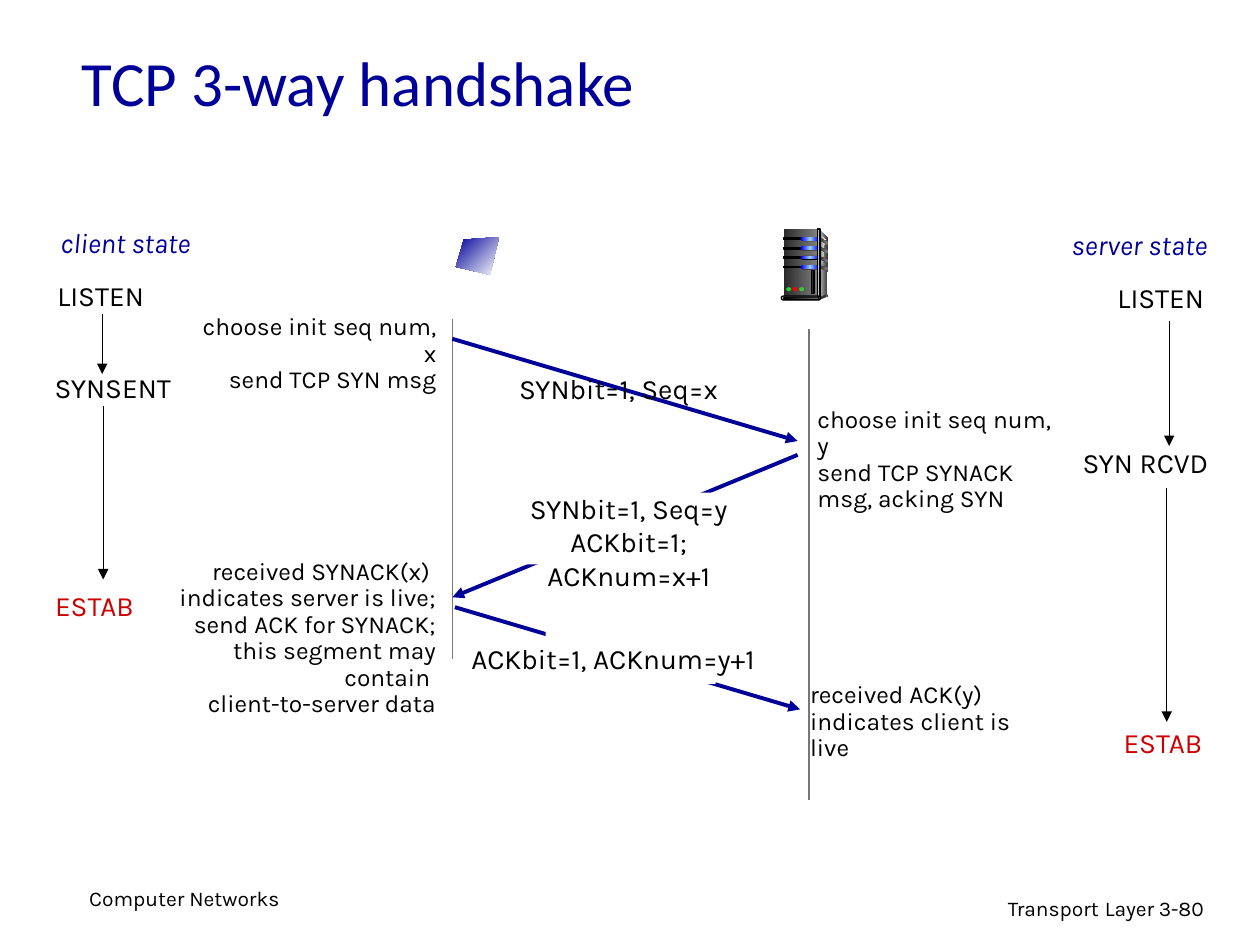
from lxml import etree
from pptx import Presentation
from pptx.dml.color import RGBColor
from pptx.enum.shapes import MSO_CONNECTOR, MSO_SHAPE
from pptx.enum.text import MSO_ANCHOR, PP_ALIGN
from pptx.oxml.ns import qn
from pptx.util import Cm, Pt

LEFT, CENTER, RIGHT = PP_ALIGN.LEFT, PP_ALIGN.CENTER, PP_ALIGN.RIGHT
TOP, MIDDLE = MSO_ANCHOR.TOP, MSO_ANCHOR.MIDDLE
RECT, PILL, OVAL = MSO_SHAPE.RECTANGLE, MSO_SHAPE.ROUNDED_RECTANGLE, MSO_SHAPE.OVAL
STRAIGHT = MSO_CONNECTOR.STRAIGHT

NAVY = RGBColor(0x00, 0x00, 0x99)
BLACK = RGBColor(0x00, 0x00, 0x00)
WHITE = RGBColor(0xFF, 0xFF, 0xFF)
RED = RGBColor(0xCC, 0x00, 0x00)
LINE_GRAY = RGBColor(0x77, 0x77, 0x77)
COAL = RGBColor(0x29, 0x29, 0x29)
DARK = RGBColor(0x33, 0x33, 0x33)
MID = RGBColor(0x80, 0x80, 0x80)
LIGHT = RGBColor(0xDD, 0xDD, 0xDD)
PALE = RGBColor(0xF8, 0xF8, 0xF8)
BLUE = RGBColor(0x00, 0x00, 0xFF)
SKY = RGBColor(0x99, 0xCC, 0xFF)
LED_GREEN = RGBColor(0x33, 0xCC, 0x33)
LED_RED = RGBColor(0xFF, 0x00, 0x00)


class Deck:
    font = "Karla"

    def __init__(self, width, height):
        self.prs = Presentation()
        self.prs.slide_width, self.prs.slide_height = Cm(width), Cm(height)
        self.slide = self.prs.slides.add_slide(self.prs.slide_layouts[6])

    def text(self, box, lines, size=16, color=BLACK, align=LEFT, wrap=True,
             spacing=None, italic=False, font=None, anchor=TOP):
        tf = self.slide.shapes.add_textbox(*map(Cm, box)).text_frame
        tf.word_wrap = wrap
        tf.vertical_anchor = anchor
        for i, line in enumerate(lines):
            p = tf.add_paragraph() if i else tf.paragraphs[0]
            p.alignment = align
            if spacing:
                p.line_spacing = spacing
            for words, points in [(line, size)] if isinstance(line, str) else line:
                r = p.add_run()
                r.text = words
                r.font.name = font or self.font
                r.font.size = Pt(points)
                r.font.italic = italic
                r.font.color.rgb = color

    def label(self, box, *lines, color=BLACK):
        self.text(box, lines, color=color, align=CENTER, wrap=False)

    def note(self, box, *lines, align=LEFT):
        self.text(box, lines, size=14, align=align, spacing=0.9)

    def line(self, start, end, color=BLACK, width=0.75, arrow=True):
        s = self.slide.shapes.add_connector(STRAIGHT, *map(Cm, start + end))
        s.line.color.rgb = color
        s.line.width = Pt(width)
        sp_pr = s._element.spPr
        if arrow:
            etree.SubElement(sp_pr.find(qn("a:ln")), qn("a:tailEnd"), type="triangle")
        etree.SubElement(sp_pr, qn("a:effectLst"))

    def message(self, start, end):
        self.line(start, end, NAVY, 2.25)

    def paint(self, s, colors, angle=0, outline=False):
        s.shadow.inherit = False
        if len(colors) == 1:
            s.fill.solid()
            s.fill.fore_color.rgb = colors[0]
        else:
            s.fill.gradient()
            s.fill.gradient_angle = -angle % 360
            stops = s._element.spPr.find(qn("a:gradFill")).find(qn("a:gsLst"))
            for stop in list(stops):
                stops.remove(stop)
            for i, color in enumerate(colors):
                pos = 100000 * i // (len(colors) - 1)
                gs = etree.SubElement(stops, qn("a:gs"), pos=str(pos))
                etree.SubElement(gs, qn("a:srgbClr"), val=str(color))
        if outline:
            s.line.color.rgb = BLACK
            s.line.width = Pt(0.75)
        else:
            s.line.fill.background()

    def shape(self, kind, box, *colors, outline=False):
        s = self.slide.shapes.add_shape(kind, *map(Cm, box))
        if kind == PILL:
            s.adjustments[0] = 0.5
        self.paint(s, colors, outline=outline)

    def outline(self, points, *colors, angle=0):
        points = [(Cm(x), Cm(y)) for x, y in points]
        builder = self.slide.shapes.build_freeform(*points[0])
        builder.add_line_segments(points[1:], close=True)
        self.paint(builder.convert_to_shape(), colors, angle)


def draw_server(deck):
    deck.outline([(16.54, 4.65), (16.69, 4.8), (16.66, 5.94), (16.48, 5.99)], LIGHT, DARK)
    deck.shape(RECT, (15.8, 4.62, 0.69, 1.35), COAL, MID)
    deck.outline([(16.54, 4.72), (16.64, 4.83), (16.57, 5.33), (16.54, 5.97)], MID, PALE)
    for i, rise in enumerate((0.1, 0.08, 0.08, 0.05)):
        y = 4.78 + 0.19 * i
        deck.shape(RECT, (15.8, y + 0.02, 0.38, 0.03), BLACK, outline=True)
        deck.shape(PILL, (16.15, y, 0.38, 0.08), BLACK)
        deck.shape(PILL, (16.15, y, 0.36, 0.07), BLUE, SKY, BLUE)
        deck.outline([(16.51, y), (16.68, y + rise), (16.68, y + rise + 0.05),
                      (16.51, y + 0.05)], COAL, MID)
    deck.shape(RECT, (16.48, 4.62, 0.05, 1.37), DARK, LIGHT, DARK, outline=True)
    deck.shape(OVAL, (16.66, 5.94, 0.03, 0.05), DARK)
    deck.outline([(16.51, 5.99), (16.51, 6.05), (16.66, 5.99), (16.66, 5.94)], DARK)
    deck.shape(PILL, (15.75, 5.97, 0.79, 0.08), LIGHT, outline=True)
    deck.shape(PILL, (15.8, 5.99, 0.71, 0.05), BLACK, MID, outline=True)
    for i, color in enumerate((LED_GREEN, LED_RED, LED_GREEN)):
        deck.shape(OVAL, (15.85 + 0.13 * i, 5.79, 0.1, 0.08), color)
    deck.shape(RECT, (16.36, 5.46, 0.05, 0.46), COAL, outline=True)


def main():
    deck = Deck(25.4, 19.05)
    deck.text((15.47, 17.86, 8.05, 0.79), [[("Transport", 12), (" ", 14), ("Layer", 12)]],
              align=RIGHT)
    deck.text((23.11, 17.93, 1.88, 0.76), ["3-80"], size=12)
    deck.text((1.4, 0.46, 14.88, 2.36), ["TCP 3-way handshake"], size=36, color=NAVY,
              font="Calibri", anchor=MIDDLE)

    deck.line((9.12, 6.43), (9.12, 13.28), LINE_GRAY, arrow=False)
    deck.message((9.12, 6.83), (16.08, 8.89))
    deck.label((10.21, 7.37, 4.52, 0.94), "SYNbit=1, Seq=x")
    deck.note((3.61, 6.22, 5.44, 1.32), "choose init seq num, x", "send TCP SYN msg",
              align=RIGHT)
    deck.line((16.31, 6.63), (16.31, 16.13), LINE_GRAY, arrow=False)

    deck.message((16.08, 9.17), (9.12, 12.04))
    deck.shape(RECT, (10.54, 9.93, 3.96, 1.45), WHITE)
    deck.label((9.55, 9.78, 6.25, 1.63), "SYNbit=1, Seq=y", "ACKbit=1; ACKnum=x+1")
    deck.note((16.23, 8.08, 5.44, 1.85), "choose init seq num, y", "send TCP SYNACK",
              "msg, acking SYN")

    deck.message((9.17, 12.24), (16.13, 14.3))
    deck.shape(RECT, (11, 12.6, 3.43, 1.19), WHITE)
    deck.label((9.25, 12.8, 6.22, 0.94), "ACKbit=1, ACKnum=y+1")
    deck.note((2.77, 11.15, 6.27, 2.92), "received SYNACK(x) ", "indicates server is live;",
              "send ACK for SYNACK;", "this segment may contain ", "client-to-server data",
              align=RIGHT)
    deck.note((16.08, 13.64, 5.11, 1.32), "received ACK(y)", "indicates client is live")

    states = [
        ((0.86, 5.49, 2.34, 0.94), "LISTEN", BLACK),
        ((0.84, 7.34, 2.87, 0.94), "SYNSENT", BLACK),
        ((0.84, 11.73, 2.13, 0.94), "ESTAB", RED),
        ((22.23, 5.54, 2.34, 0.94), "LISTEN", BLACK),
        ((21.54, 8.86, 3.1, 0.94), "SYN RCVD", BLACK),
        ((22.38, 14.5, 2.13, 0.94), "ESTAB", RED),
    ]
    for box, name, color in states:
        deck.label(box, name, color=color)
    for x, y1, y2 in [(2.06, 6.32, 7.54), (2.08, 8.18, 11.68),
                      (23.57, 6.48, 8.99), (23.52, 9.83, 14.55)]:
        deck.line((x, y1), (x, y2))
    for box, heading in [((0.86, 4.42, 3.23, 1.63), "client state"),
                         ((21.16, 4.47, 3.43, 1.63), "server state")]:
        deck.text(box, [heading], color=NAVY, align=RIGHT, italic=True)

    deck.outline([(10.06, 4.78), (9.35, 4.83), (9.19, 5.38), (9.88, 5.54)], NAVY, WHITE,
                 angle=45)
    draw_server(deck)
    deck.text((1.55, 17.73, 5.28, 0.84), ["Computer Networks"], size=12)
    deck.prs.save("out.pptx")


if __name__ == "__main__":
    main()
